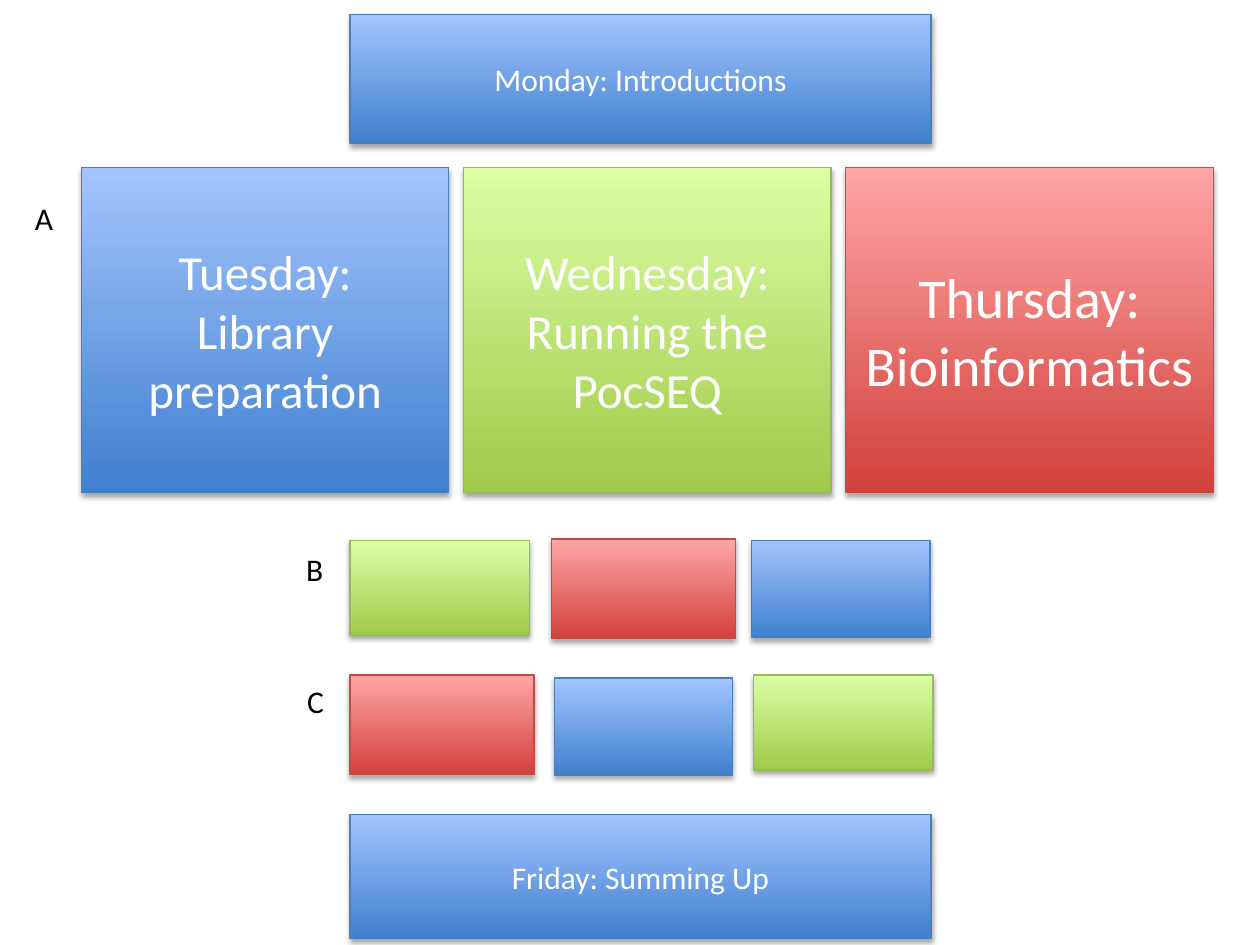
"""Build a one-slide weekly timetable with three rotating groups."""
import pptx
import pptx.util
import pptx.dml.color
import pptx.enum.shapes
import pptx.enum.text
import pptx.oxml
import pptx.oxml.ns

Pt = pptx.util.Pt
RGB = pptx.dml.color.RGBColor.from_string
FONT = "Calibri"
COLORS = {
    "blue": {"bottom": "3F80CE", "top": "A4C4FF", "edge": "4B7EBC"},
    "green": {"bottom": "A0CA4A", "top": "DAFFA5", "edge": "98B955"},
    "red": {"bottom": "D1403C", "top": "FFA6A5", "edge": "BF4C48"},
    "block_text": "FFFFFF",
    "label_text": "000000",
}
DAYS = [
    ("blue", "Tuesday:\nLibrary preparation", 28),
    ("green", "Wednesday:\nRunning the PocSEQ", 28),
    ("red", "Thursday:\nBioinformatics", 32),
]
BANNERS = [
    ("Monday: Introductions", 8.3, 73.5),
    ("Friday: Summing Up", 465.5, 70.9),
]
ROTATIONS = [
    ("green", 200, 309),
    ("red", 315.3, 308),
    ("blue", 429.5, 309),
    ("red", 200, 385.8),
    ("blue", 316.7, 387.4),
    ("green", 430.5, 385.8),
]
ROTATION_SIZES = {"blue": (102, 55.5), "green": (102.7, 54.3), "red": (105.2, 57)}
GROUPS = [("A", 12.8, 110.3), ("B", 167.8, 310.5), ("C", 168.5, 386)]
DAY_LEFT, DAY_TOP, DAY_WIDTH, DAY_HEIGHT, DAY_GAP = 46.5, 95.6, 210, 186, 8.4
BANNER_LEFT, BANNER_WIDTH = 200, 332
SHADOW = (
    '<a:effectLst %s><a:outerShdw blurRad="40000" dist="23000" dir="5400000" '
    'rotWithShape="0"><a:srgbClr val="000000"><a:alpha val="35000"/></a:srgbClr>'
    "</a:outerShdw></a:effectLst>" % pptx.oxml.ns.nsdecls("a")
)


def write(frame, text, size, color, align):
    frame.text = text
    for paragraph in frame.paragraphs:
        paragraph.alignment = align
        for run in paragraph.runs:
            run.font.name = FONT
            run.font.size = Pt(size)
            run.font.color.rgb = RGB(color)


def add_block(slide, tone, left, top, width, height, text="", size=18):
    block = slide.shapes.add_shape(
        pptx.enum.shapes.MSO_SHAPE.RECTANGLE, Pt(left), Pt(top), Pt(width), Pt(height)
    )
    block.fill.gradient()
    block.fill.gradient_angle = 90
    for stop, end, position in zip(block.fill.gradient_stops, ("bottom", "top"), (0, 1)):
        stop.color.rgb = RGB(COLORS[tone][end])
        stop.position = position
    block.line.color.rgb = RGB(COLORS[tone]["edge"])
    block.line.width = Pt(0.75)
    block.element.spPr.append(pptx.oxml.parse_xml(SHADOW))
    if text:
        block.text_frame.vertical_anchor = pptx.enum.text.MSO_ANCHOR.MIDDLE
        write(block.text_frame, text, size, COLORS["block_text"],
              pptx.enum.text.PP_ALIGN.CENTER)


timetable = pptx.Presentation()
timetable.slide_width, timetable.slide_height = Pt(720), Pt(540)
week = timetable.slides.add_slide(timetable.slide_layouts[6])

for index, (tone, day, size) in enumerate(DAYS):
    day_left = DAY_LEFT + index * (DAY_WIDTH + DAY_GAP)
    add_block(week, tone, day_left, DAY_TOP, DAY_WIDTH, DAY_HEIGHT, day, size)

for day, top, height in BANNERS:
    add_block(week, "blue", BANNER_LEFT, top, BANNER_WIDTH, height, day)

for tone, left, top in ROTATIONS:
    add_block(week, tone, left, top, *ROTATION_SIZES[tone])

for letter, left, top in GROUPS:
    group = week.shapes.add_textbox(Pt(left), Pt(top), Pt(22), Pt(29))
    group.text_frame.word_wrap = False
    group.text_frame.auto_size = pptx.enum.text.MSO_AUTO_SIZE.SHAPE_TO_FIT_TEXT
    write(group.text_frame, letter, 18, COLORS["label_text"],
          pptx.enum.text.PP_ALIGN.LEFT)

timetable.save("out.pptx")
